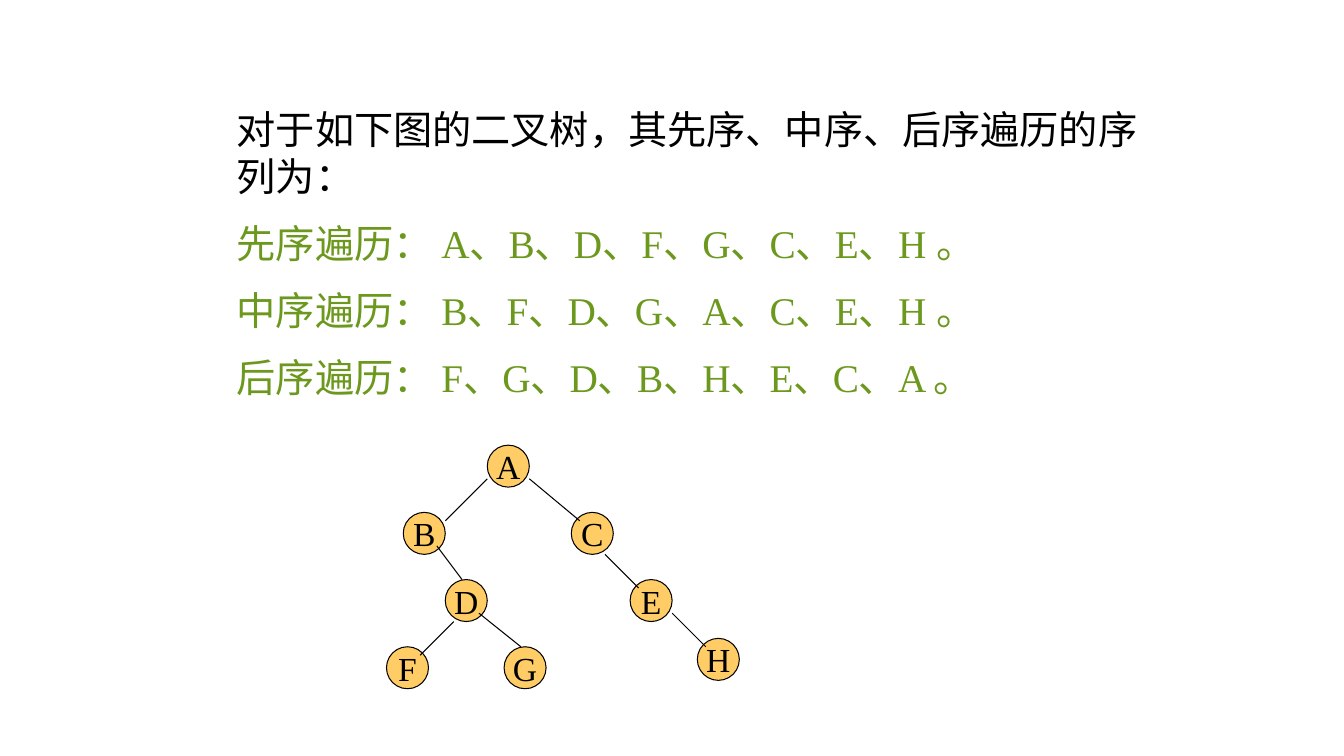
"""Builds a slide on the three traversal orders of a binary tree."""
from dataclasses import dataclass
from typing import Any

import pptx
import pptx.dml.color
import pptx.enum.shapes
import pptx.enum.text
import pptx.oxml.ns
import pptx.util
from lxml import etree

Inches = pptx.util.Inches
Pt = pptx.util.Pt
RGBColor = pptx.dml.color.RGBColor


@dataclass(frozen=True)
class Theme:
    font: str = "Times New Roman"
    ink: RGBColor = RGBColor(0x00, 0x00, 0x00)
    answer: RGBColor = RGBColor(0x6C, 0x98, 0x1E)
    node: RGBColor = RGBColor(0xFF, 0xCC, 0x66)
    body_size: int = 28
    node_size: int = 24
    line_width: float = 0.75
    paragraph_gap: int = 14


@dataclass(frozen=True)
class Node:
    label: str
    column: int
    row: int


@dataclass(frozen=True)
class Edge:
    start_column: int
    start_row: int
    end_column: int
    end_row: int


THEME = Theme()
CELLS_PER_INCH = 12
NODE_CELLS = 5
QUESTION = "对于如下图的二叉树，其先序、中序、后序遍历的序列为："
ORDERS = {"先序": "ABDFGCEH", "中序": "BFDGACEH", "后序": "FGDBHECA"}
NODES = [
    Node("A", 58, 53), Node("B", 48, 61), Node("C", 68, 61), Node("D", 53, 69),
    Node("F", 46, 77), Node("G", 60, 77), Node("E", 75, 69), Node("H", 83, 76),
]
EDGES = [
    Edge(58, 57, 53, 62), Edge(63, 57, 69, 62), Edge(52, 65, 55, 69),
    Edge(54, 74, 50, 78), Edge(57, 73, 62, 77), Edge(80, 73, 84, 77),
    Edge(72, 66, 76, 70),
]


def grid(cells: int) -> pptx.util.Length:
    return Inches(cells / CELLS_PER_INCH)


def set_font(para: Any, size: int, color: RGBColor) -> None:
    para.font.name = THEME.font
    para.font.size = Pt(size)
    para.font.color.rgb = color


def set_line(shape: Any) -> None:
    shape.line.color.rgb = THEME.ink
    shape.line.width = Pt(THEME.line_width)


def add_question(page: Any) -> None:
    box = page.shapes.add_textbox(Inches(2.25), Inches(1), Inches(9.25), Inches(3.14))
    frame = box.text_frame
    frame.word_wrap = True
    frame.auto_size = pptx.enum.text.MSO_AUTO_SIZE.SHAPE_TO_FIT_TEXT
    question = frame.paragraphs[0]
    question.text = QUESTION
    set_font(question, THEME.body_size, THEME.ink)
    for order, labels in ORDERS.items():
        para = frame.add_paragraph()
        para.text = f"{order}遍历： {'、'.join(labels)} 。"
        para.space_before = Pt(THEME.paragraph_gap)
        set_font(para, THEME.body_size, THEME.answer)


def add_node(tree: Any, node: Node) -> None:
    circle = tree.shapes.add_shape(
        pptx.enum.shapes.MSO_SHAPE.OVAL,
        grid(node.column), grid(node.row), grid(NODE_CELLS), grid(NODE_CELLS),
    )
    circle.shadow.inherit = False
    circle.fill.solid()
    circle.fill.fore_color.rgb = THEME.node
    set_line(circle)
    frame = circle.text_frame
    frame.word_wrap = False
    frame.vertical_anchor = pptx.enum.text.MSO_ANCHOR.MIDDLE
    para = frame.paragraphs[0]
    para.text = node.label
    para.alignment = pptx.enum.text.PP_ALIGN.CENTER
    set_font(para, THEME.node_size, THEME.ink)


def add_edge(tree: Any, edge: Edge) -> None:
    line = tree.shapes.add_connector(
        pptx.enum.shapes.MSO_CONNECTOR.STRAIGHT,
        grid(edge.start_column), grid(edge.start_row),
        grid(edge.end_column), grid(edge.end_row),
    )
    set_line(line)
    etree.SubElement(line._element.spPr, pptx.oxml.ns.qn("a:effectLst"))


def main() -> None:
    deck = pptx.Presentation()
    deck.slide_width = Inches(13.33)
    deck.slide_height = Inches(7.5)
    page = deck.slides.add_slide(deck.slide_layouts[6])
    add_question(page)
    tree = page.shapes.add_group_shape()
    for node in NODES:
        add_node(tree, node)
    for edge in EDGES:
        add_edge(tree, edge)
    deck.save("out.pptx")


if __name__ == "__main__":
    main()
